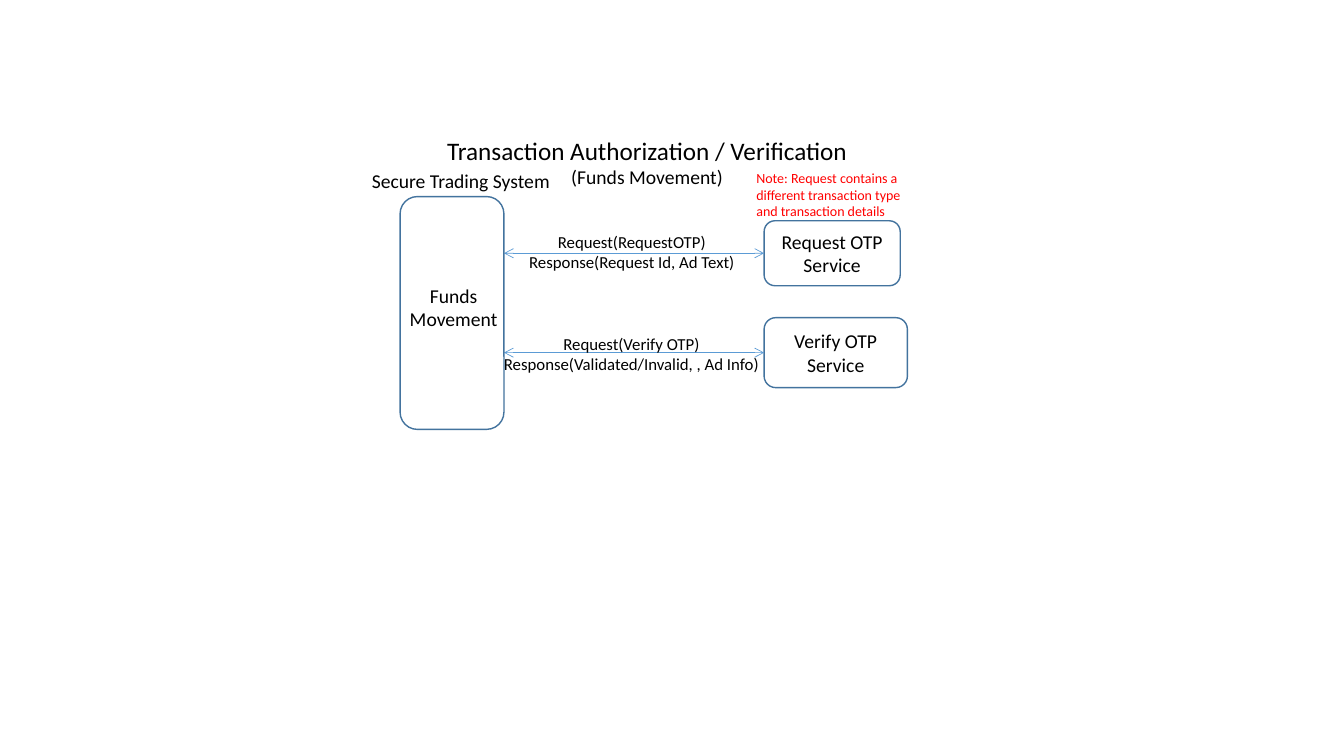
import pptx
import pptx.dml.color
import pptx.enum.shapes
import pptx.enum.text
import pptx.oxml
import pptx.util

Pt = pptx.util.Pt
RGBColor = pptx.dml.color.RGBColor
PP_ALIGN = pptx.enum.text.PP_ALIGN

BLACK = RGBColor(0x00, 0x00, 0x00)
WHITE = RGBColor(0xFF, 0xFF, 0xFF)
RED = RGBColor(0xFF, 0x00, 0x00)
BORDER = RGBColor(0x43, 0x73, 0x9E)
ARROW = RGBColor(0x5B, 0x9B, 0xD5)


class Diagram:
    font = {"name": "Calibri", "size": Pt(14), "color": BLACK}

    def __init__(self, prs):
        self.slide = prs.slides.add_slide(prs.slide_layouts[6])
        self.shapes = self.slide.shapes

    def fill_text(self, tf, lines, align, formats):
        for i, (line, fmt) in enumerate(zip(lines, formats)):
            p = tf.paragraphs[0] if i == 0 else tf.add_paragraph()
            p.alignment = align
            r = p.add_run()
            r.text = line
            for key, value in {**self.font, **fmt}.items():
                if key == "color":
                    r.font.color.rgb = value
                else:
                    setattr(r.font, key, value)

    def box(self, x, y, w, h, *lines):
        kind = pptx.enum.shapes.MSO_SHAPE.ROUNDED_RECTANGLE
        sp = self.shapes.add_shape(kind, Pt(x), Pt(y), Pt(w), Pt(h))
        sp.shadow.inherit = False
        sp.fill.solid()
        sp.fill.fore_color.rgb = WHITE
        sp.line.color.rgb = BORDER
        sp.line.width = Pt(1)
        sp.text_frame.vertical_anchor = pptx.enum.text.MSO_ANCHOR.MIDDLE
        self.fill_text(sp.text_frame, lines, PP_ALIGN.CENTER, [{}] * len(lines))

    def label(self, x, y, w, h, *lines, align=PP_ALIGN.CENTER, wrap=False, formats=None):
        sp = self.shapes.add_textbox(Pt(x), Pt(y), Pt(w), Pt(h))
        tf = sp.text_frame
        tf.word_wrap = wrap
        tf.auto_size = pptx.enum.text.MSO_AUTO_SIZE.SHAPE_TO_FIT_TEXT
        self.fill_text(tf, lines, align, formats or [{}] * len(lines))

    def double_arrow(self, x1, x2, y):
        kind = pptx.enum.shapes.MSO_CONNECTOR.STRAIGHT
        cxn = self.shapes.add_connector(kind, Pt(x1), Pt(y), Pt(x2), Pt(y))
        cxn.line.color.rgb = ARROW
        cxn.line.width = Pt(0.5)
        ln = cxn.line._get_or_add_ln()
        for tag in ("a:headEnd", "a:tailEnd"):
            end = pptx.oxml.xmlchemy.OxmlElement(tag)
            end.set("type", "arrow")
            ln.append(end)
        effects = pptx.oxml.xmlchemy.OxmlElement("a:effectLst")
        cxn._element.spPr.append(effects)


def main():
    prs = pptx.Presentation()
    prs.slide_width, prs.slide_height = Pt(960), Pt(540)
    d = Diagram(prs)
    system_right, service_left = 360, 545.8

    # Services, with the messages exchanged
    services = [
        ("Request OTP", 157.7, 97.2, 46.4,
         (370, 162, 162.8, 36.5), ("Request(RequestOTP)", "Response(Request Id, Ad Text)")),
        ("Verify OTP", 226.9, 102.4, 50,
         (349.2, 234.7, 203.8, 36.5), ("Request(Verify OTP)", "Response(Validated/Invalid, , Ad Info)")),
    ]
    for name, y, w, h, area, messages in services:
        d.box(service_left, y, w, h, name, "Service")
        d.double_arrow(system_right, service_left, y + h / 2)
        d.label(*area, *messages, formats=[{"size": Pt(12)}] * 2)

    # Headings
    d.label(258.5, 117.4, 180.7, 24.3, "Secure Trading System", align=PP_ALIGN.LEFT, wrap=True)
    d.label(310.3, 92.9, 303.8, 46.3, "Transaction Authorization / Verification",
            "(Funds Movement)", formats=[{"size": Pt(18)}, {}])

    # Trading system
    d.box(285.8, 140.4, system_right - 285.8, 166.3)
    d.label(285.1, 198.9, 77.8, 41.2, "Funds", "Movement")

    # Note
    d.label(533.2, 117.4, 129.6, 43.8,
            "Note: Request contains a different transaction type and transaction details",
            align=PP_ALIGN.LEFT, wrap=True, formats=[{"size": Pt(10), "color": RED}])

    prs.save("out.pptx")


if __name__ == "__main__":
    main()
